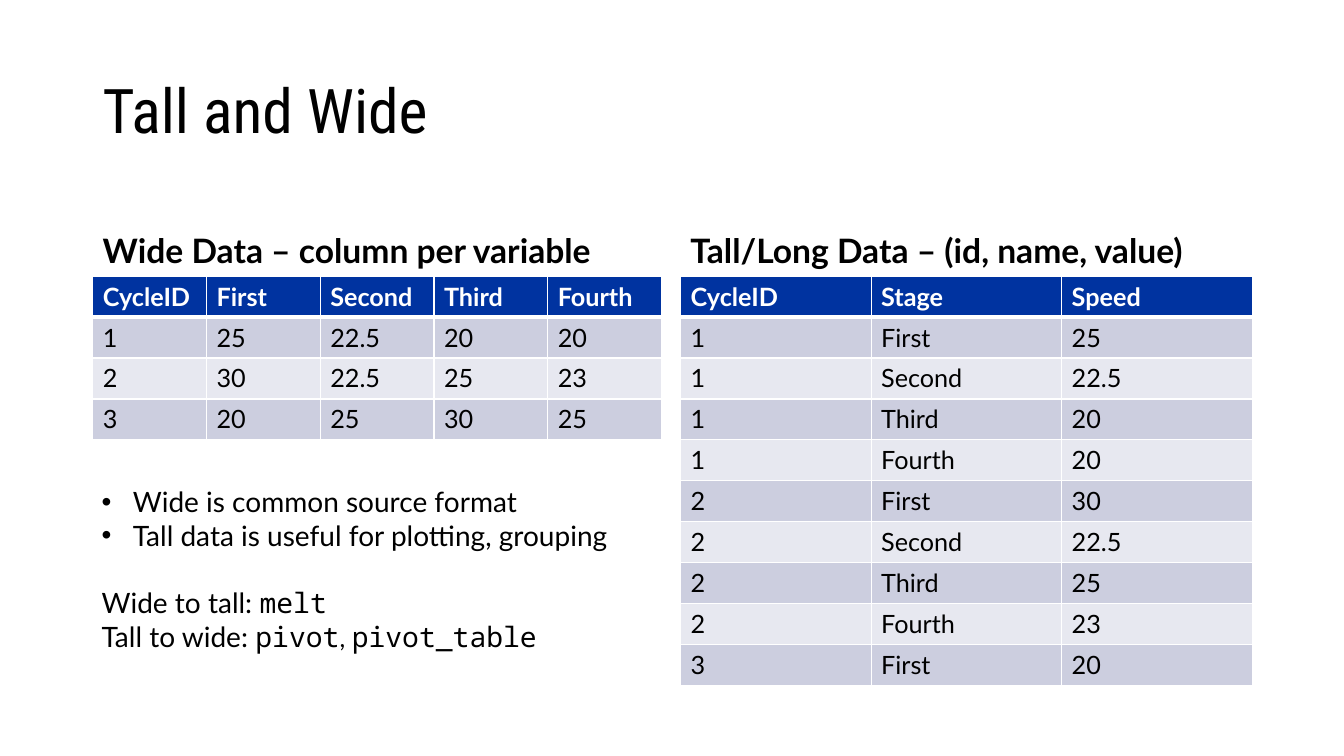
from dataclasses import dataclass

from lxml.etree import SubElement
from pptx import Presentation
from pptx.dml.color import RGBColor
from pptx.enum.text import MSO_ANCHOR
from pptx.oxml.ns import qn
from pptx.util import Inches, Pt


@dataclass(frozen=True)
class Theme:
    heading_font: str = "Roboto Condensed"
    body_font: str = "Lato"
    code_font: str = "Noto Sans Mono"
    ink: str = "000000"
    white: str = "FFFFFF"
    header: str = "0033A0"
    bands: tuple = ("CCCEDF", "E7E8F0")
    title_size: int = 44
    heading_size: int = 24
    note_size: int = 20
    cell_size: int = 18


THEME = Theme()
ROW_HEIGHT = 0.406
TABLE_TOP = 2.74
TALL_ROWS_SHOWN = 9

WIDE = [
    ["CycleID", "First", "Second", "Third", "Fourth"],
    ["1", "25", "22.5", "20", "20"],
    ["2", "30", "22.5", "25", "23"],
    ["3", "20", "25", "30", "25"],
]


def melt(wide):
    """Turn one column per stage into (id, stage, speed) rows."""
    stages = wide[0][1:]
    rows = [[cycle, stage, speed] for cycle, *speeds in wide[1:]
            for stage, speed in zip(stages, speeds)]
    return [["CycleID", "Stage", "Speed"]] + rows[:TALL_ROWS_SHOWN]


def style_run(r, size, font=THEME.body_font, color=THEME.ink, bold=False):
    r.font.name = font
    r.font.size = Pt(size)
    r.font.bold = bold
    r.font.color.rgb = RGBColor.from_string(color)


def add_text_frame(slide, left, top, width, height, anchor):
    sp = slide.shapes.add_textbox(Inches(left), Inches(top), Inches(width), Inches(height))
    tf = sp.text_frame
    tf.word_wrap = True
    tf.vertical_anchor = anchor
    return tf


def add_heading(slide, text, box, anchor, size, **style):
    tf = add_text_frame(slide, *box, anchor)
    p = tf.paragraphs[0]
    p.text = text
    p.line_spacing = 0.9
    style_run(p.runs[0], size, **style)


def add_bullet(p):
    pPr = p._p.get_or_add_pPr()
    indent = Inches(0.31)
    pPr.set("marL", str(indent))
    pPr.set("indent", str(-indent))
    SubElement(pPr, qn("a:buFont"), typeface="Arial")
    SubElement(pPr, qn("a:buChar"), char="•")


def set_borders(cell, top, bottom):
    tcPr = cell._tc.get_or_add_tcPr()
    for side, width in (("lnL", 1), ("lnR", 1), ("lnT", top), ("lnB", bottom)):
        ln = SubElement(tcPr, qn(f"a:{side}"), w=str(Pt(width)))
        fill = SubElement(ln, qn("a:solidFill"))
        SubElement(fill, qn("a:srgbClr"), val=THEME.white)


def style_cell(cell, row):
    is_header = row == 0
    set_borders(cell, top=3 if row == 1 else 1, bottom=3 if is_header else 1)
    cell.fill.solid()
    color = THEME.header if is_header else THEME.bands[(row - 1) % 2]
    cell.fill.fore_color.rgb = RGBColor.from_string(color)
    style_run(cell.text_frame.paragraphs[0].runs[0], THEME.cell_size,
              color=THEME.white if is_header else THEME.ink, bold=is_header)


def add_data_table(slide, data, left, width):
    frame = slide.shapes.add_table(len(data), len(data[0]), Inches(left), Inches(TABLE_TOP),
                                   Inches(width), Inches(ROW_HEIGHT * len(data)))
    for i, values in enumerate(data):
        for j, value in enumerate(values):
            cell = frame.table.cell(i, j)
            cell.text = value
            style_cell(cell, i)


def add_data_panel(slide, heading, data, left, width):
    add_heading(slide, heading, (left, TABLE_TOP - 0.9, width, 0.9), MSO_ANCHOR.BOTTOM,
                THEME.heading_size, bold=True)
    add_data_table(slide, data, left, width)


def add_notes_on_formats(slide):
    tf = add_text_frame(slide, 0.91, 4.76, 5.34, 1.78, MSO_ANCHOR.TOP)
    size, small = THEME.note_size, THEME.cell_size
    body, code = THEME.body_font, THEME.code_font
    bullets = ["Wide is common source format", "Tall data is useful for plotting, grouping"]
    conversions = [
        [("Wide to tall: ", body, size), ("melt", code, size)],
        [("Tall to wide: ", body, size), ("pivot", code, size),
         (", ", body, small), ("pivot_table", code, size)],
    ]
    lines = [[(text, body, size)] for text in bullets] + conversions
    for i, line in enumerate(lines):
        p = tf.add_paragraph() if i else tf.paragraphs[0]
        if i < len(bullets):
            add_bullet(p)
        elif i == len(bullets):
            p.space_before = Pt(24)
        for text, font, run_size in line:
            r = p.add_run()
            r.text = text
            style_run(r, run_size, font)


def main():
    prs = Presentation()
    prs.slide_width, prs.slide_height = Inches(13.33), Inches(7.5)
    slide = prs.slides.add_slide(prs.slide_layouts[6])
    add_heading(slide, "Tall and Wide", (0.92, 0.4, 11.5, 1.45), MSO_ANCHOR.MIDDLE,
                THEME.title_size, font=THEME.heading_font)
    add_data_panel(slide, "Wide Data – column per variable", WIDE, 0.92, 5.64)
    add_data_panel(slide, "Tall/Long Data – (id, name, value)", melt(WIDE), 6.75, 5.67)
    add_notes_on_formats(slide)
    prs.save("out.pptx")


if __name__ == "__main__":
    main()
